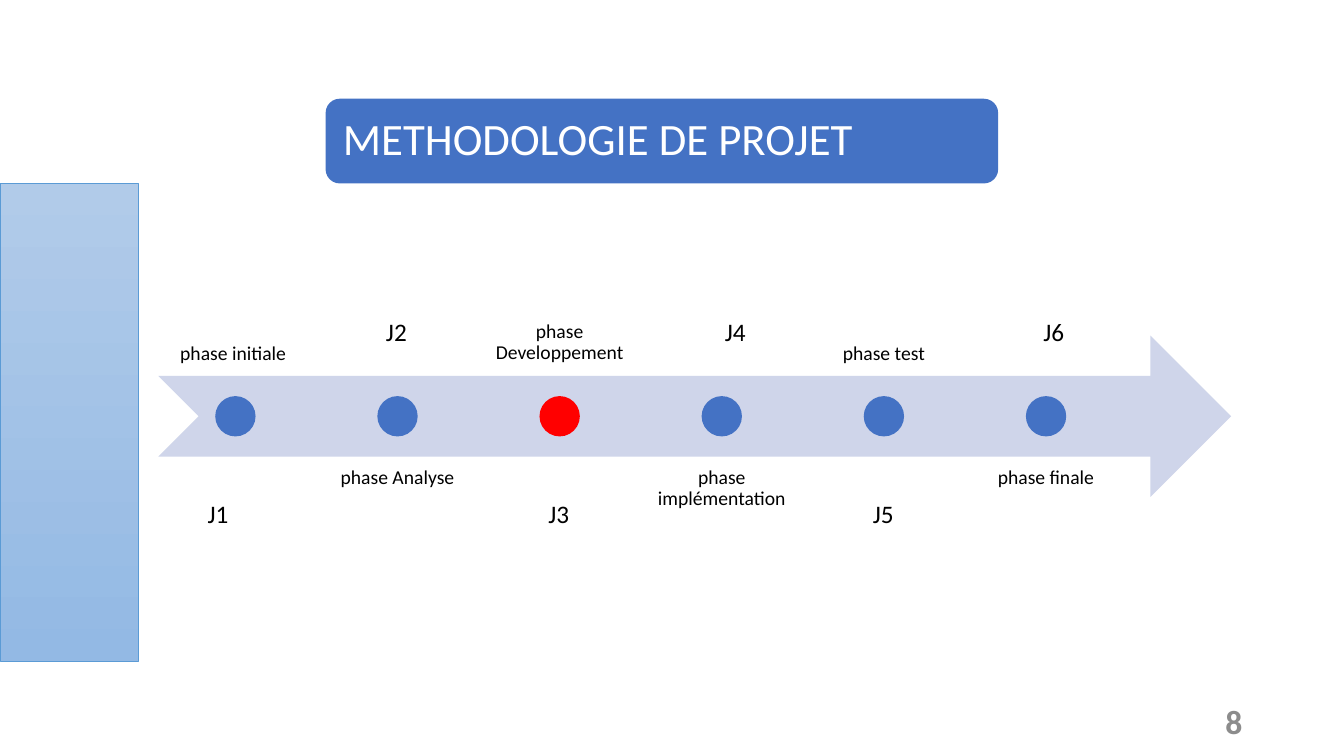
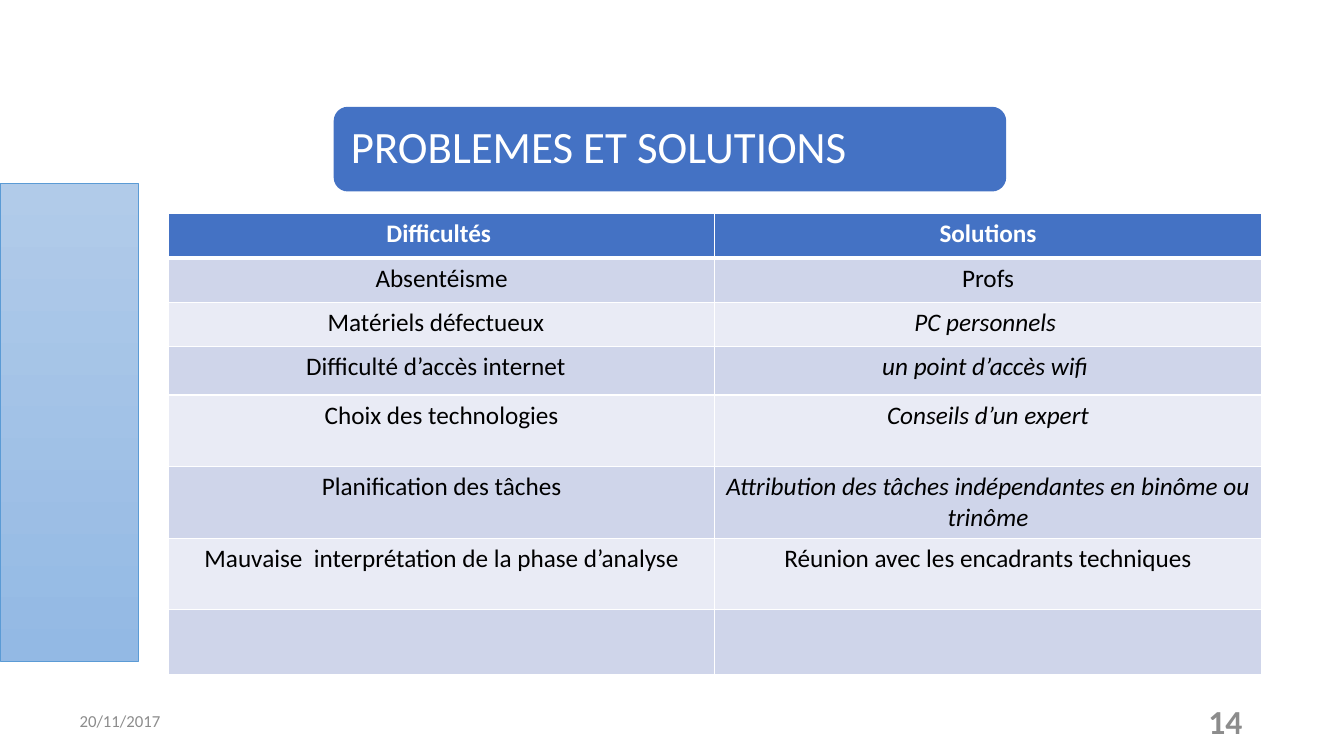
from lxml import etree
from pptx import Presentation
from pptx.dml.color import RGBColor
from pptx.enum.shapes import MSO_SHAPE as SHAPE
from pptx.enum.text import MSO_ANCHOR as ANCHOR, PP_ALIGN as ALIGN
from pptx.oxml.ns import qn
from pptx.util import Inches, Pt

FONT = "Calibri"
BLUE, PALE, LIGHT = "4472C4", "CFD5EA", "E9EBF5"
BLACK, WHITE, GREY, RED = "000000", "FFFFFF", "8C8C8C", "FF0000"
BAND_TOP, BAND_BOTTOM, BAND_LINE = "B1CBE9", "93B9E4", "5B9BD5"

PHASES = [
    ("phase initiale ", "J1", 1.96),
    ("phase Analyse", "J2", 3.73),
    ("phase Developpement", "J3", 5.34),
    ("phase implémentation ", "J4", 7.09),
    ("phase test", "J5", 8.56),
    ("phase finale", "J6", 10.25),
]
CURRENT_PHASE = 2

ROWS = [
    ("Difficultés ", "Solutions", 0.44),
    ("Absentéisme", "Profs", 0.44),
    ("Matériels défectueux  ", "PC personnels ", 0.44),
    ("Difficulté d’accès internet  ", "un point d’accès wifi ", 0.48),
    ("Choix des technologies", "Conseils d’un expert", 0.71),
    ("Planification des tâches",
     "Attribution des tâches indépendantes en binôme ou trinôme", 0.71),
    ("Mauvaise  interprétation de la phase d’analyse",
     "Réunion avec les encadrants techniques", 0.71),
    ("", "", 0.64),
]
ITALIC_ROWS = range(2, 6)


def rgb(color):
    return RGBColor.from_string(color)


def box(x, y, w, h):
    return [Inches(v) for v in (x, y, w, h)]


def write(tf, text, size, color, align=ALIGN.LEFT, bold=False, italic=False, spacing=None):
    p = tf.paragraphs[0]
    p.alignment = align
    p.line_spacing = spacing
    r = p.add_run()
    r.text = text
    font = r.font
    font.name, font.size = FONT, Pt(size)
    font.bold, font.italic = bold, italic
    font.color.rgb = rgb(color)


def set_insets(tf, inset):
    tf.margin_left = tf.margin_right = tf.margin_top = tf.margin_bottom = Inches(inset)


def add_shape(s, kind, at, color):
    sp = s.shapes.add_shape(kind, *box(*at))
    sp.shadow.inherit = False
    sp.fill.solid()
    sp.fill.fore_color.rgb = rgb(color)
    sp.line.fill.background()
    return sp


def add_text(s, at, text, size, color=BLACK, anchor=ANCHOR.TOP, inset=None, **style):
    tf = s.shapes.add_textbox(*box(*at)).text_frame
    tf.word_wrap = True
    tf.vertical_anchor = anchor
    if inset is not None:
        set_insets(tf, inset)
    write(tf, text, size, color, **style)


def add_side_band(s):
    sp = add_shape(s, SHAPE.RECTANGLE, (0, 1.82, 1.37, 4.74), BAND_TOP)
    sp.fill.gradient()
    sp.fill.gradient_angle = 270
    for stop, color in zip(sp.fill.gradient_stops, (BAND_TOP, BAND_BOTTOM)):
        stop.color.rgb = rgb(color)
    sp.line.color.rgb = rgb(BAND_LINE)
    sp.line.width = Pt(0.5)


def add_title(s, x, y, text):
    sp = add_shape(s, SHAPE.ROUNDED_RECTANGLE, (x, y, 6.67, 0.84), BLUE)
    tf = sp.text_frame
    tf.word_wrap = True
    tf.vertical_anchor = ANCHOR.MIDDLE
    set_insets(tf, 0.13)
    write(tf, text, 32, WHITE, spacing=0.9)


def add_base_slide(prs, title, x, y, number):
    s = prs.slides.add_slide(prs.slide_layouts[6])
    add_side_band(s)
    add_title(s, x, y, title)
    add_text(s, (9.42, 6.95, 3, 0.4), number, 24, GREY, ANCHOR.MIDDLE,
             align=ALIGN.RIGHT, bold=True)
    return s


def add_timeline(s):
    add_shape(s, SHAPE.NOTCHED_RIGHT_ARROW, (1.57, 3.33, 10.64, 1.6), PALE)
    for i, (phase, day, day_x) in enumerate(PHASES):
        x = 1.57 + 1.608 * i
        above = i % 2 == 0
        add_text(s, (x, 2.12 if above else 4.53, 1.53, 1.6), phase, 14,
                 anchor=ANCHOR.BOTTOM if above else ANCHOR.TOP, inset=0.11,
                 align=ALIGN.CENTER, spacing=0.9)
        add_shape(s, SHAPE.OVAL, (x + 0.565, 3.93, 0.4, 0.4),
                  RED if i == CURRENT_PHASE else BLUE)
        add_text(s, (day_x, 4.89 if above else 3.09, 0.88, 0.4), day, 18)


def set_borders(cell, top, bottom):
    tc_pr = cell._tc.get_or_add_tcPr()
    for side, width in (("L", 1), ("R", 1), ("T", top), ("B", bottom)):
        ln = etree.SubElement(tc_pr, qn(f"a:ln{side}"), w=str(Pt(width)))
        fill = etree.SubElement(ln, qn("a:solidFill"))
        etree.SubElement(fill, qn("a:srgbClr"), val=WHITE)


def add_problem_table(s):
    height = sum(row[2] for row in ROWS)
    frame = s.shapes.add_table(len(ROWS), 2, *box(1.67, 2.12, 10.84, height))
    table = frame.table
    for i, (problem, solution, row_height) in enumerate(ROWS):
        table.rows[i].height = Inches(row_height)
        header = i == 0
        color = BLUE if header else PALE if i % 2 else LIGHT
        for j, text in enumerate((problem, solution)):
            cell = table.cell(i, j)
            set_borders(cell, 3 if i == 1 else 1, 3 if header else 1)
            cell.fill.solid()
            cell.fill.fore_color.rgb = rgb(color)
            if text:
                write(cell.text_frame, text, 18, WHITE if header else BLACK,
                      ALIGN.CENTER, bold=header, italic=j == 1 and i in ITALIC_ROWS)


def main():
    prs = Presentation()
    prs.slide_width, prs.slide_height = Inches(13.33), Inches(7.5)

    s = add_base_slide(prs, "METHODOLOGIE DE PROJET", 3.23, 0.98, "8")
    add_timeline(s)

    s = add_base_slide(prs, "PROBLEMES ET SOLUTIONS", 3.31, 1.06, "14")
    add_text(s, (0.69, 6.95, 2.25, 0.4), "20/11/2017", 12, GREY, ANCHOR.MIDDLE)
    add_problem_table(s)

    prs.save("out.pptx")


if __name__ == "__main__":
    main()
